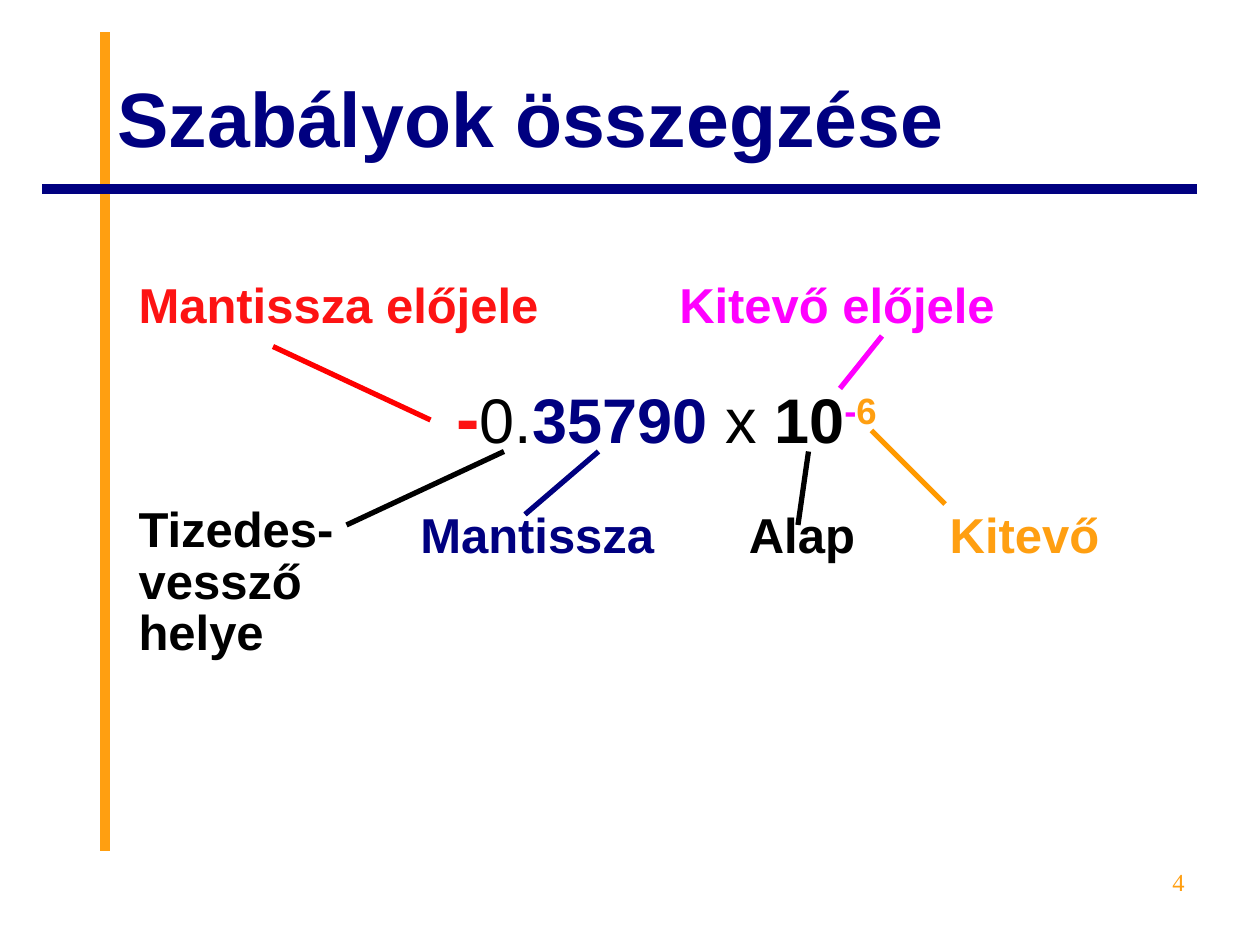
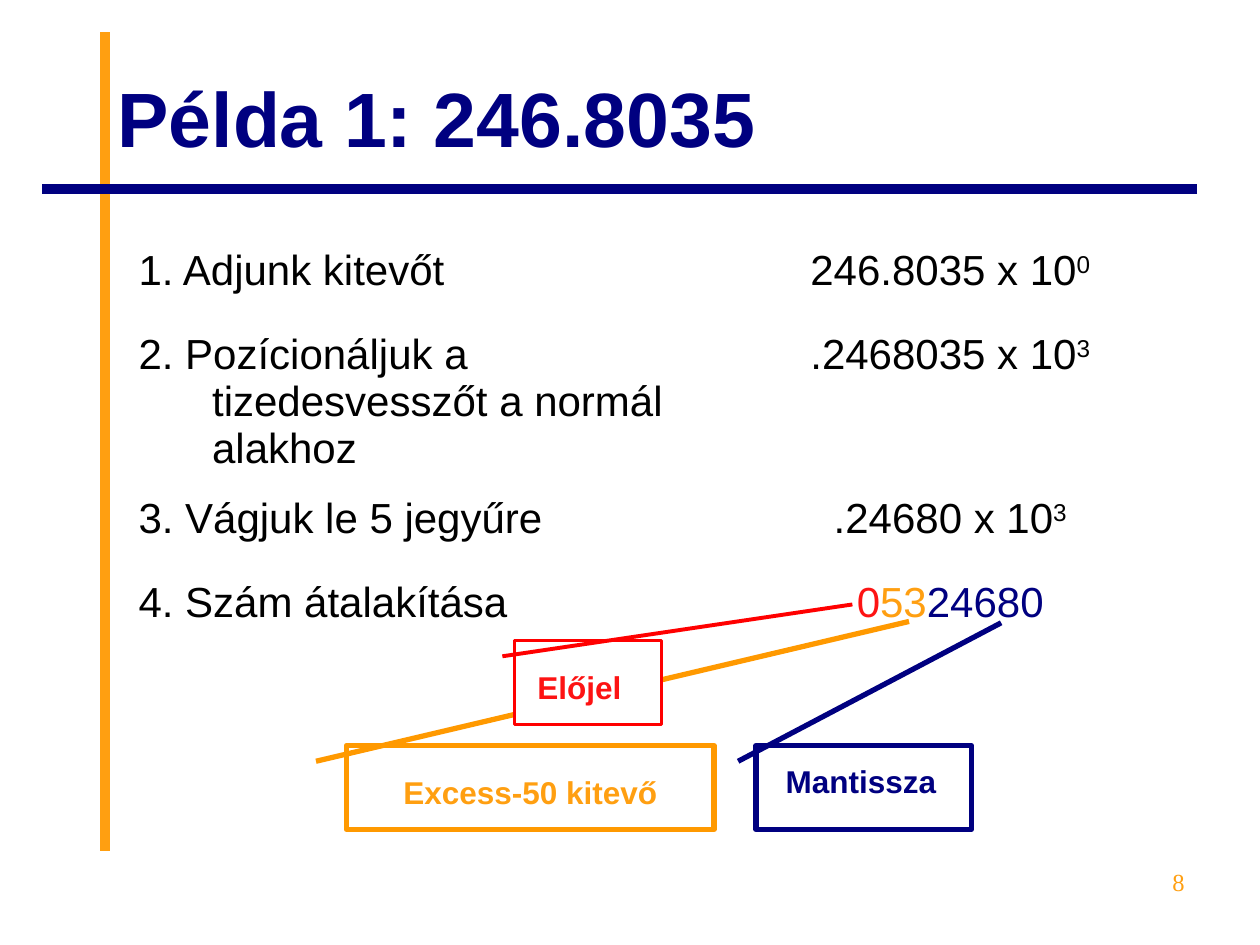
from lxml.etree import SubElement
from pptx import Presentation
from pptx.dml.color import RGBColor
from pptx.enum.shapes import MSO_CONNECTOR, MSO_SHAPE
from pptx.enum.text import MSO_ANCHOR, MSO_AUTO_SIZE, PP_ALIGN
from pptx.oxml.ns import qn
from pptx.util import Pt

HEX = {
    "navy": "000080", "gold": "FF9F11", "amber": "FF9900", "red": "FF0000",
    "rose": "FD1313", "pink": "FF00FF", "black": "000000", "white": "FFFFFF",
}
ALIGN = {"l": PP_ALIGN.LEFT, "c": PP_ALIGN.CENTER, "r": PP_ALIGN.RIGHT}
NO_STYLE = "{2D5ABB26-0587-4C30-8999-92F81FD0307C}"


def paint(name):
    return RGBColor.from_string(HEX[name])


def write(frame, text, size=28, color="black", bold=False, align="l",
          font="Arial", lead=None, hang=0):
    """Fill a frame; text is a string or a list of (string, format) runs."""
    frame.word_wrap = True
    para = frame.paragraphs[0]
    para.alignment = ALIGN[align]
    if lead:
        para.line_spacing = lead
    if hang:
        props = para._p.get_or_add_pPr()
        props.set("marL", str(Pt(hang)))
        props.set("indent", str(-Pt(hang)))
    for part, own in [(text, {})] if isinstance(text, str) else text:
        run = para.add_run()
        run.text = part
        run.font.name = font
        run.font.size = Pt(own.get("size", size))
        run.font.bold = own.get("bold", bold)
        run.font.color.rgb = paint(own.get("color", color))
        if own.get("up"):
            run._r.get_or_add_rPr().set("baseline", "30000")


class Deck:
    def __init__(self):
        self.file = Presentation()
        self.file.slide_width, self.file.slide_height = Pt(720), Pt(540)
        self.base = self.file.slide_layouts[5]
        self.slide = None

    def start(self, title, number):
        fresh = self.slide is None
        self.slide = self.file.slides.add_slide(self.base)
        if fresh:
            self.frame()
        # Title
        head = self.slide.shapes.title
        head.left, head.top, head.width, head.height = map(Pt, (60, 21.6, 624, 90))
        head.text_frame.auto_size = MSO_AUTO_SIZE.NONE
        head.text_frame.vertical_anchor = MSO_ANCHOR.MIDDLE
        write(head.text_frame, title, size=44, color="navy", bold=True)
        # Slide number
        self.text((516, 492, 168, 37), number, size=14, color="gold",
                  align="r", font="Times New Roman")

    def frame(self):
        """Put the two bars on the shared layout."""
        for ends, color in (((60, 486, 60, 18), "gold"),
                            ((684, 108, 24, 108), "navy")):
            bar = self.line(ends, color, 5.5)
            self.base.shapes._spTree.append(bar._element)

    def line(self, ends, color, width=3):
        line = self.slide.shapes.add_connector(
            MSO_CONNECTOR.STRAIGHT, *map(Pt, ends))
        line.line.color.rgb = paint(color)
        line.line.width = Pt(width)
        SubElement(line._element.spPr, qn("a:effectLst"))
        return line

    def text(self, box, text, **style):
        area = self.slide.shapes.add_textbox(*map(Pt, box))
        write(area.text_frame, text, **style)

    def table(self, left, top, cols, rows):
        shape = self.slide.shapes.add_table(
            len(rows), len(cols), *map(Pt, (left, top, sum(cols), sum(rows))))
        grid = shape.table
        grid.first_row = grid.horz_banding = False
        grid._tbl.tblPr.find(qn("a:tableStyleId")).text = NO_STYLE
        for col, width in zip(grid.columns, cols):
            col.width = Pt(width)
        for row, height in zip(grid.rows, rows):
            row.height = Pt(height)
        for cell in grid.iter_cells():
            cell.fill.background()
        return grid

    def callout(self, box, tip, color, width=3, fill=None):
        note = self.slide.shapes.add_shape(
            MSO_SHAPE.LINE_CALLOUT_1, *map(Pt, box))
        note.shadow.inherit = False
        for i, value in enumerate((0.188, -0.083, *tip)):
            note.adjustments[i] = value
        if fill:
            note.fill.solid()
            note.fill.fore_color.rgb = paint(fill)
        else:
            note.fill.background()
        note.line.color.rgb = paint(color)
        note.line.width = Pt(width)


def rules(deck):
    deck.start("Szabályok összegzése", "4")

    # Number with its labels
    grid = deck.table(72, 156, [154.5] * 4, [42, 72, 118.5])
    for row, col in ((0, 0), (0, 2), (1, 1)):
        grid.cell(row, col).merge(grid.cell(row, col + 1))
    number = [
        ("-", {"size": 40, "color": "rose", "bold": True}),
        ("0.", {}),
        ("35790", {"color": "navy", "bold": True}),
        (" x ", {}),
        ("10", {"bold": True}),
        ("-", {"color": "pink", "bold": True, "up": True}),
        ("6", {"color": "gold", "bold": True, "up": True}),
    ]
    write(grid.cell(1, 1).text_frame, number, size=36, align="c", lead=1.35)
    for row, col, label, color, align, lead in (
            (0, 0, "Mantissza előjele", "rose", "l", None),
            (0, 2, "Kitevő előjele", "pink", "l", None),
            (2, 0, "Tizedes-vessző helye", "black", "l", 0.95),
            (2, 1, "Mantissza", "navy", "r", 1.55),
            (2, 2, "Alap", "black", "c", 1.55),
            (2, 3, "Kitevő", "gold", "l", 1.55)):
        write(grid.cell(row, col).text_frame, label, color=color,
              bold=True, align=align, lead=lead)
    grid.cell(2, 0).margin_top = Pt(19)

    # Pointers from labels to digits
    for ends, color in (((156, 198, 246, 240), "red"),
                        ((504, 192, 480, 222), "pink"),
                        ((540, 288, 498, 246), "amber"),
                        ((456, 300, 462, 258), "black"),
                        ((300, 294, 342, 258), "navy"),
                        ((198, 300, 288, 258), "black")):
        deck.line(ends, color)


def sample(deck):
    deck.start("Példa 1: 246.8035", "8")

    # Steps and results
    grid = deck.table(72, 138, [318, 306], [48, 93.75, 48, 48, 73.5])
    steps = (
        ("1. Adjunk kitevőt", [("246.8035 x 10", {}), ("0", {"up": True})]),
        ("2. Pozícionáljuk a tizedesvesszőt a normál alakhoz",
         [(".2468035 x 10", {}), ("3", {"up": True})]),
        ("3. Vágjuk le 5 jegyűre", [(".24680 x 10", {}), ("3", {"up": True})]),
        ("4. Szám átalakítása", [("0", {"color": "rose"}),
                                 ("53", {"color": "gold"}),
                                 ("24680", {"color": "navy"})]),
    )
    for row, (step, result) in enumerate(steps):
        write(grid.cell(row, 0).text_frame, step, size=24, hang=42)
        write(grid.cell(row, 1).text_frame, result, size=24, align="c")

    # Callouts for the parts of the result
    deck.callout((198, 426, 210, 48), (-1.477, 1.531), "amber")
    deck.callout((432, 426, 123, 48), (-1.461, 1.139), "navy")
    deck.callout((294, 366, 84, 48), (-0.43, 2.299), "red", 2.25, "white")
    for box, label, color, align in (
            ((300, 378, 72, 29), "Előjel", "rose", "l"),
            ((204, 438, 198, 29), "Excess-50 kitevő", "gold", "c"),
            ((438, 432, 108, 29), "Mantissza", "navy", "c")):
        deck.text(box, label, size=18, color=color, bold=True, align=align)


def main():
    deck = Deck()
    rules(deck)
    sample(deck)
    deck.file.save("out.pptx")


if __name__ == "__main__":
    main()
